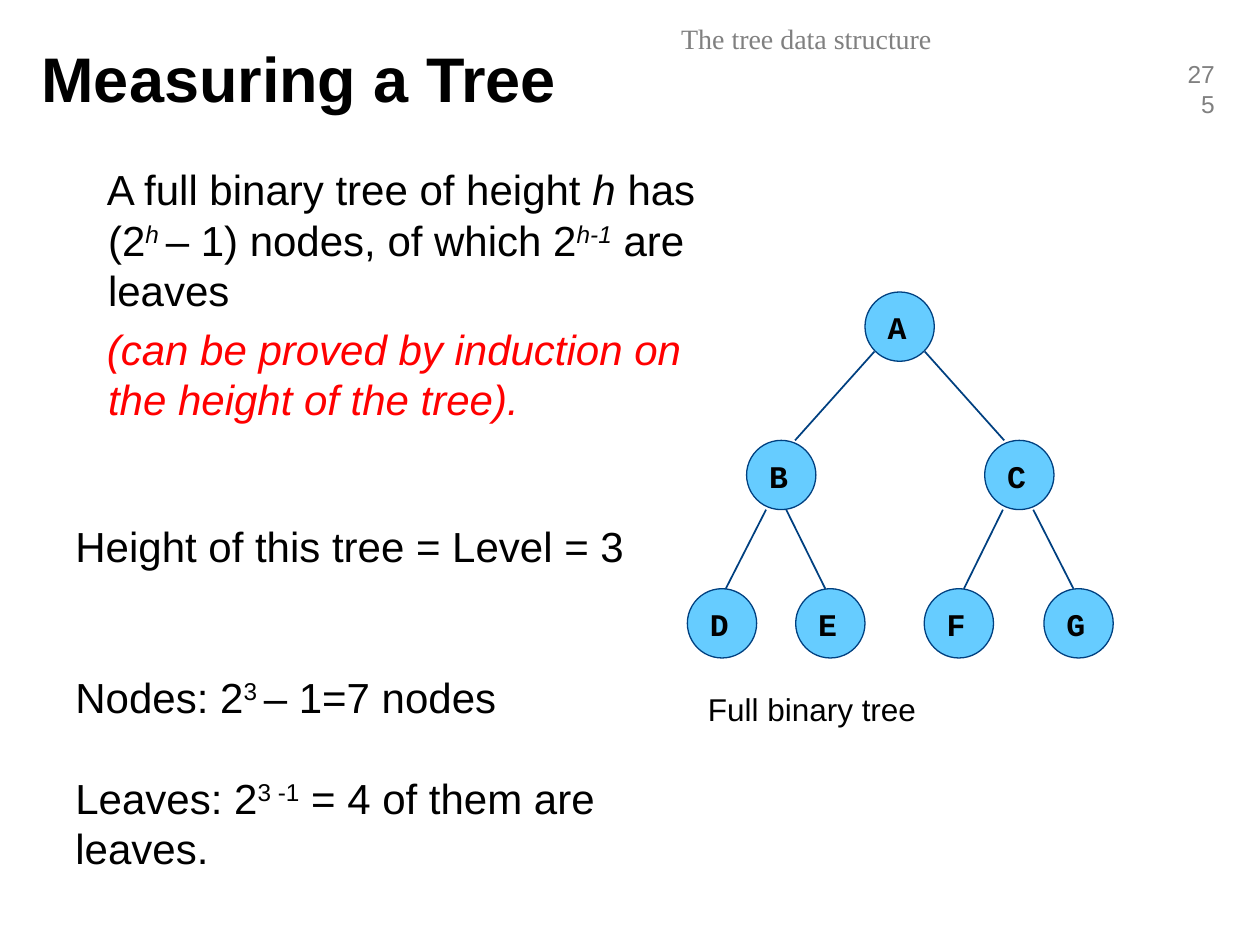
from lxml import etree
from pptx import Presentation, util as u
from pptx.dml.color import RGBColor
from pptx.enum import shapes, text
from pptx.oxml.ns import qn

BLACK = RGBColor(0x00, 0x00, 0x00)
GREY = RGBColor(0x80, 0x80, 0x80)
RED = RGBColor(0xFF, 0x00, 0x00)
SKY = RGBColor(0x66, 0xCC, 0xFF)
NAVY = RGBColor(0x00, 0x40, 0x80)

prs = Presentation()
prs.slide_width, prs.slide_height = u.Inches(10), u.Inches(7.5)
W, H = prs.slide_width, prs.slide_height
s = prs.slides.add_slide(prs.slide_layouts[5])


def box(left, top, width, height):
    """Add a wrapping text box placed by shares of the slide's size."""
    tf = s.shapes.add_textbox(int(W * left), int(H * top),
                              int(W * width), int(H * height)).text_frame
    tf.word_wrap = True
    return tf


def write(tf, content, size=24, font="Arial", color=BLACK, bold=False, italic=False,
          align=text.PP_ALIGN.LEFT, before=0, indent=None):
    """Write one paragraph; content is a string or (string, style) pairs,
    where style holds "i" for italic and "^" for superscript."""
    p = tf.paragraphs[0]
    if p.runs:
        p = tf.add_paragraph()
    p.alignment, p.space_before = align, u.Pt(before)
    if indent:
        pPr = p._p.get_or_add_pPr()
        pPr.set("marL", str(u.Inches(indent[0])))
        pPr.set("indent", str(u.Inches(indent[1])))
    for words, style in [(content, "")] if isinstance(content, str) else content:
        r = p.add_run()
        r.text = words
        r.font.name, r.font.size = font, u.Pt(size)
        r.font.bold, r.font.italic = bold, italic or "i" in style
        r.font.color.rgb = color
        if "^" in style:
            r._r.get_or_add_rPr().set("baseline", "30000")


# Header, slide number and title
write(box(0.32, 0.016, 0.64, 0.053), "The tree data structure", size=16,
      font="Times New Roman", color=GREY, align=text.PP_ALIGN.CENTER)
write(box(0.93, 0.056, 0.044, 0.044), "275", size=14, color=GREY,
      align=text.PP_ALIGN.RIGHT)
title = s.shapes.title
title.left, title.top = int(W * 0.023), int(H * 0.02)
title.width, title.height = int(W * 0.8), int(H * 0.124)
title.text_frame.vertical_anchor = text.MSO_ANCHOR.MIDDLE
write(title.text_frame, "Measuring a Tree", size=36, bold=True)

# Statement
tf = box(0.025, 0.167, 0.55, 0.36)
write(tf, [("A full binary tree of height ", ""), ("h ", "i"), ("has (2", ""),
           ("h ", "i^"), ("– 1) nodes, of which 2", ""), ("h-1", "i^"),
           (" are leaves", "")], indent=(0.51, -0.01))
write(tf, "(can be proved by induction on the height of the tree).", color=RED,
      italic=True, before=4.8, indent=(0.51, -0.01))

# Worked example, spaced by whole lines
LINE = 28.8
tf = box(0.05, 0.544, 0.458, 0.336)
write(tf, "Height of this tree = Level = 3")
write(tf, [("Nodes: 2", ""), ("3 ", "^"), ("– 1=7 nodes", "")], before=2 * LINE)
write(tf, [("Leaves: 2", ""), ("3 -1", "^"), (" = 4 of them are leaves.", "")],
      before=LINE)

# Tree: node -> (centre as share of width, level)
D = u.Inches(0.55)
TOP, STEP = H * 0.309, H * 0.157
NODES = {"A": (0.714, 0), "B": (0.62, 1), "C": (0.809, 1), "D": (0.573, 2),
         "E": (0.659, 2), "F": (0.761, 2), "G": (0.856, 2)}
# Edge: parent level, start and end as shares of width
EDGES = [(0, 0.694, 0.631), (0, 0.734, 0.797), (1, 0.608, 0.576),
         (1, 0.624, 0.655), (1, 0.796, 0.765), (1, 0.82, 0.852)]

for name, (x, level) in NODES.items():
    sp = s.shapes.add_shape(shapes.MSO_SHAPE.OVAL, int(W * x - D / 2),
                            int(TOP + level * STEP), D, D)
    sp.shadow.inherit = False
    sp.fill.solid()
    sp.fill.fore_color.rgb = SKY
    sp.line.color.rgb, sp.line.width = NAVY, u.Pt(0.75)
    sp.text_frame.vertical_anchor = text.MSO_ANCHOR.TOP
    write(sp.text_frame, name, size=18, font="Courier New", bold=True)

for level, x1, x2 in EDGES:
    drop = D * (1 if level else 0.86)
    line = s.shapes.add_connector(
        shapes.MSO_CONNECTOR.STRAIGHT, int(W * x1), int(TOP + level * STEP + drop),
        int(W * x2), int(TOP + (level + 1) * STEP))
    line.line.color.rgb, line.line.width = NAVY, u.Pt(1)
    etree.SubElement(line._element.spPr, qn("a:effectLst"))

write(box(0.552, 0.724, 0.323, 0.053), "Full binary tree", size=18)

prs.save("out.pptx")
